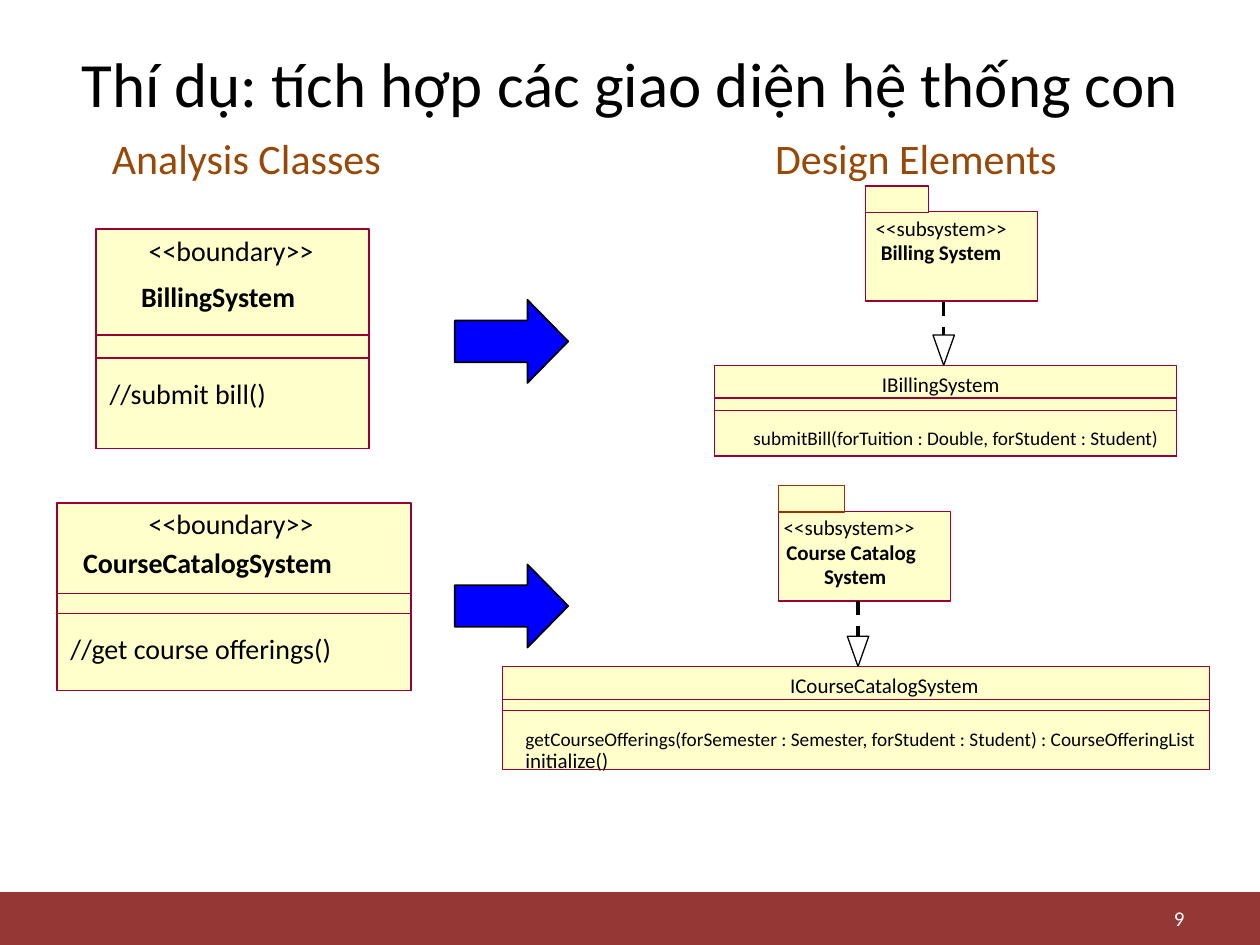
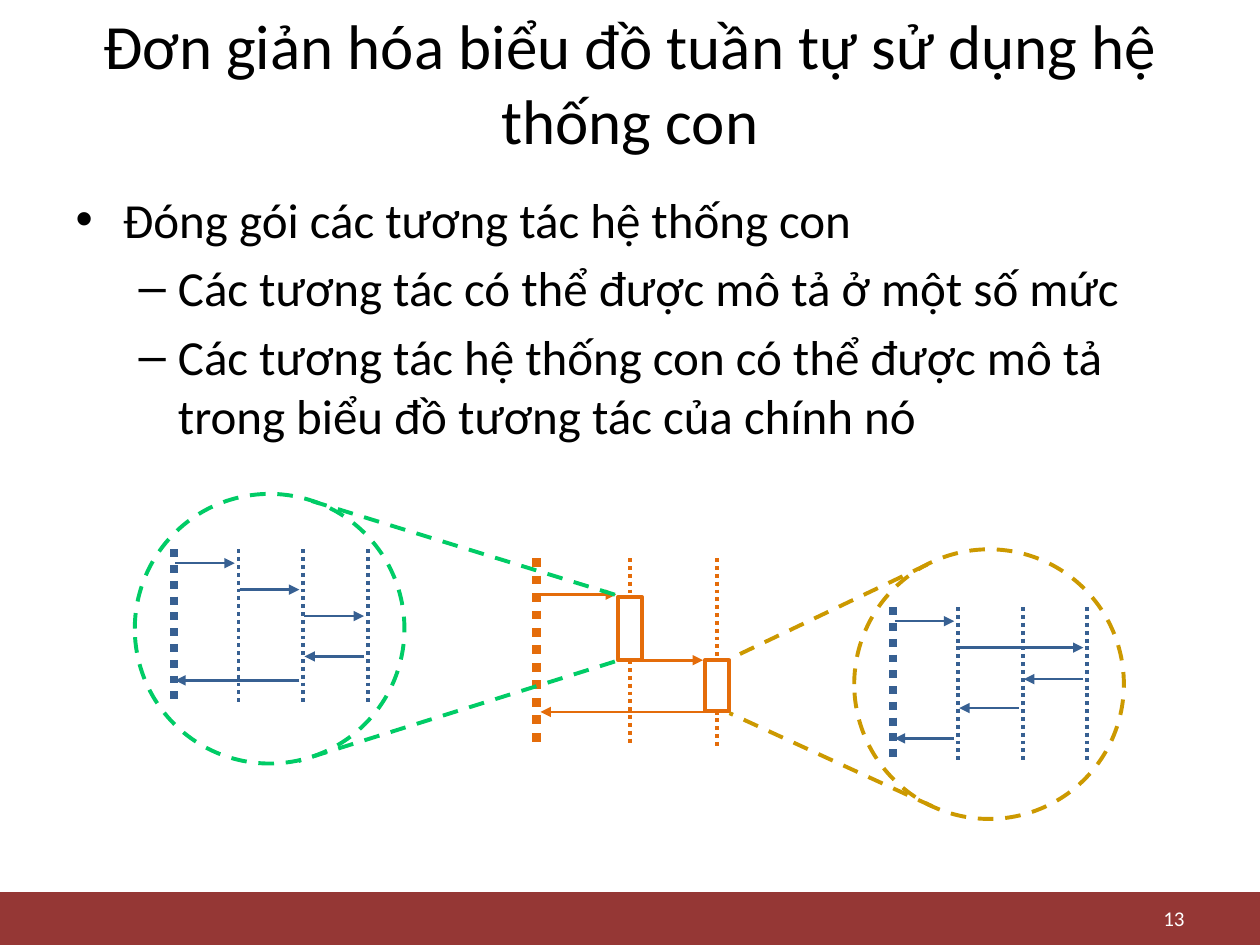
from pptx import Presentation
from pptx.dml.color import RGBColor
from pptx.enum.dml import MSO_LINE
from pptx.enum.shapes import MSO_CONNECTOR, MSO_SHAPE
from pptx.enum.text import MSO_ANCHOR, MSO_AUTO_SIZE, PP_ALIGN
from pptx.oxml.ns import qn
from pptx.util import Inches, Pt
from lxml import etree

RECT, OVAL, ARROW = MSO_SHAPE.RECTANGLE, MSO_SHAPE.OVAL, MSO_SHAPE.RIGHT_ARROW
STRAIGHT = MSO_CONNECTOR.STRAIGHT
DASH, DOT = MSO_LINE.DASH, MSO_LINE.ROUND_DOT
LEFT, CENTER, RIGHT = PP_ALIGN.LEFT, PP_ALIGN.CENTER, PP_ALIGN.RIGHT
MIDDLE = MSO_ANCHOR.MIDDLE
FIT, FIXED = MSO_AUTO_SIZE.SHAPE_TO_FIT_TEXT, MSO_AUTO_SIZE.NONE
TOP, BOTTOM = 0, 2

COLORS = {
    "black": "000000", "white": "FFFFFF", "band": "953735", "head": "984807",
    "cream": "FFFFCC", "wine": "990033", "rust": "993300", "blue": "0000FF",
    "orange": "E46C0A", "green": "00CC66", "gold": "CC9900", "navy": "376092",
}
FONT = "Calibri"
WIDTH, HEIGHT = Inches(10), Inches(7.5)
CELL = WIDTH / 100  # the grid has 100 columns and 75 rows


def grid(*cells):
    return [round(cell * CELL) for cell in cells]


def color(name):
    return RGBColor.from_string(COLORS[name])


def set_font(font, size, ink="black", bold=False):
    for key, value in {"name": FONT, "size": Pt(size), "bold": bold}.items():
        setattr(font, key, value)
    font.color.rgb = color(ink)


def set_line(line, ink, width, dash=None):
    line.color.rgb = color(ink)
    line.width = Pt(width)
    if dash:
        line.dash_style = dash


def shape(slide, kind, box, fill=None, ink=None, width=0, dash=None):
    item = slide.shapes.add_shape(kind, *grid(*box))
    item.shadow.inherit = False
    if fill:
        item.fill.solid()
        item.fill.fore_color.rgb = color(fill)
    else:
        item.fill.background()
    if ink:
        set_line(item.line, ink, width, dash)
    else:
        item.line.fill.background()
    return item


def link(slide, start, end, ink, width, dash=None, arrow=False):
    item = slide.shapes.add_connector(STRAIGHT, *grid(*start, *end))
    set_line(item.line, ink, width, dash)
    props = item._element.spPr
    if arrow:
        etree.SubElement(props.find(qn("a:ln")), qn("a:tailEnd"), type="triangle")
    etree.SubElement(props, qn("a:effectLst"))
    return item


def label(slide, box, text, size, ink="black", bold=False, align=LEFT,
          pad=0, wrap=False, **more):
    frame = slide.shapes.add_textbox(*grid(*box)).text_frame
    side, edge = grid(pad, pad / 2)
    form = {"margin_left": side, "margin_right": side, "margin_top": edge,
            "margin_bottom": edge, "word_wrap": wrap, "auto_size": FIT, **more}
    for key, value in form.items():
        setattr(frame, key, value)
    line = frame.paragraphs[0]
    line.text, line.alignment = text, align
    set_font(line.font, size, ink, bold)


def add_band(deck, slide):
    """Draw the bottom band and move it to the back of the master."""
    band = shape(slide, RECT, (0, 70.8, 100, 4.2), "band")._element
    band.nvSpPr.cNvPr.set("id", "99")
    deck.slide_master.shapes._spTree.insert(2, band)


def new_slide(deck, layout, title, number):
    slide = deck.slides.add_slide(deck.slide_layouts[layout])
    head = slide.shapes.title
    head.left, head.top, head.width, head.height = grid(5, 3, 90, 7)
    frame = head.text_frame
    frame.text = title
    frame.auto_size, frame.vertical_anchor = FIXED, MIDDLE
    frame.paragraphs[0].alignment = CENTER
    set_font(frame.paragraphs[0].font, 36)
    label(slide, (71.7, 71.5, 23.3, 2.7), number, 12, "white", align=RIGHT,
          pad=1, wrap=True, auto_size=FIXED, vertical_anchor=MIDDLE)
    return slide


def class_box(slide, box, cuts, width=0):
    """Draw a class with a compartment starting at each cut."""
    x, y, w, h = box
    shape(slide, RECT, box, "cream", "wine", width)
    for cut in cuts:
        shape(slide, RECT, (x, y + cut, w, h - cut), None, "wine", width)


def package(slide, x, y, tab, ink, width):
    shape(slide, RECT, (x, y, 13.65, 7.1), "cream", "wine")
    shape(slide, RECT, (x, y - 2.05, tab, 2.1), "cream", ink, width)


def realize(slide, x, top, tip):
    """Draw a dashed line with a hollow triangle pointing down."""
    base = tip - 2.4
    link(slide, (x, top), (x, base), "black", 0, DASH)
    path = slide.shapes.build_freeform(*grid(x, tip))
    path.add_line_segments([grid(x + 0.85, base), grid(x - 0.85, base)])
    head = path.convert_to_shape()
    head.shadow.inherit = False
    head.fill.background()
    set_line(head.line, "black", 0)


def sequence(slide, x, y, calls):
    """Draw four lifelines and the calls (source, target, row) between them."""
    lanes = [x + 5.13 * lane for lane in range(4)]
    for lane in lanes:
        link(slide, (lane, y), (lane, y + 12.2), "navy",
             4.5 if lane == x else 2.25, DOT)
    for source, target, row in calls:
        low, high = sorted((source, target))
        ends = [(lanes[low] + 0.1, y + row), (lanes[high] - 0.3, y + row)]
        if source > target:
            ends.reverse()
        link(slide, *ends, "navy", 1.5, arrow=True)


def active(slide, x, y, h):
    """Draw a lifeline that is broken by an activation bar."""
    bar = shape(slide, RECT, (x - 0.95, y, 1.9, h), None, "orange", 2.25)
    link(slide, (x, 44.3), (x, y), "orange", 2.25, DOT).end_connect(bar, TOP)
    link(slide, (x, y + h), (x, 59.2), "orange", 2.25, DOT).begin_connect(bar, BOTTOM)


def zoom(slide, x, y, ink, rays):
    shape(slide, OVAL, (x, y, 21.4, 21.4), None, ink, 2.25, DASH)
    for start, end in rays:
        link(slide, start, end, ink, 2.25, DASH)


def draw_classes(slide):
    for x, w, text in ((3.6, 31.9, "Analysis Classes"), (55, 35.4, "Design Elements")):
        label(slide, (x, 9.9, w, 5.2), text, 24, "head", align=CENTER, pad=1.2, wrap=True)
    for y in (23.8, 44.8):
        item = shape(slide, ARROW, (36.1, y, 9, 6.6), "blue", "black", 1)
        item.adjustments[0], item.adjustments[1] = 0.5, 0.49

    class_box(slide, (7.6, 18.2, 21.7, 17.4), (8.4, 10.2), 1)
    class_box(slide, (4.5, 39.9, 28.1, 14.9), (7.2, 8.8), 1)
    class_box(slide, (56.7, 29, 36.7, 7.2), (2.6, 3.6))
    class_box(slide, (39.9, 52.9, 56.1, 8.2), (2.6, 3.5))
    package(slide, 68.7, 16.8, 5, "wine", 0)
    package(slide, 61.8, 40.6, 5.2, "rust", 0.75)
    realize(slide, 74.9, 24, 29)
    realize(slide, 68.1, 47.7, 52.9)

    texts = [
        (11.8, 18.5, 14.5, "<<boundary>>", 16, False),
        (11.2, 22.2, 14.7, "BillingSystem", 16, True),
        (8.7, 29.9, 12.6, "//submit bill()", 16, False),
        (11.8, 40.2, 14.5, "<<boundary>>", 16, False),
        (6.6, 43.3, 23.7, "CourseCatalogSystem", 16, True),
        (5.6, 50.1, 22.3, "//get course offerings()", 16, False),
        (69.5, 17.1, 11.8, "<<subsystem>>", 12, False),
        (69.9, 19, 11.5, "Billing System", 12, True),
        (70, 29.5, 10.4, "IBillingSystem", 12, False),
        (59.8, 33.8, 32.4, "submitBill(forTuition : Double, forStudent : Student)", 11, False),
        (62.2, 40.8, 11.8, "<<subsystem>>", 12, False),
        (62.4, 42.8, 12.8, "Course Catalog", 12, True),
        (65.4, 44.7, 5.9, "System", 12, True),
        (62.7, 53.4, 17.1, "ICourseCatalogSystem", 12, False),
        (41.7, 57.7, 54, "getCourseOfferings(forSemester : Semester, "
         "forStudent : Student) : CourseOfferingList", 11, False),
        (41.7, 59.3, 6.7, "initialize()", 12, False),
    ]
    for x, y, w, text, size, bold in texts:
        label(slide, (x, y, w, size / 6), text, size, bold=bold)


def fill_body(slide, items):
    body = slide.placeholders[1]
    body.left, body.top, body.width, body.height = grid(5, 14.5, 90, 17.1)
    frame = body.text_frame
    frame.text = "\n".join(text for _, text in items)
    frame.auto_size = FIXED
    for line, (level, _) in zip(frame.paragraphs, items):
        line.level = level
        set_font(line.font, 28)


def draw_calls(slide):
    link(slide, (42.6, 44.3), (42.6, 59.2), "orange", 5, DOT)
    active(slide, 50, 47.4, 5)
    active(slide, 56.9, 52.4, 4)
    for start, end, y in ((42.5, 48.9, 47.2), (49.4, 55.8, 52.4), (58, 42.9, 56.5)):
        link(slide, (start, y), (end, y), "orange", 1.5, arrow=True)
    zoom(slide, 10.7, 39.2, "green",
         [((48.8, 52.5), (23.7, 60.4)), ((48.8, 47.2), (23.9, 39.5))])
    zoom(slide, 67.8, 43.6, "gold",
         [((73.6, 44.8), (57.9, 52.3)), ((74, 64), (57.9, 56.6))])
    sequence(slide, 13.8, 43.6,
             [(0, 1, 1.1), (1, 2, 3.2), (2, 3, 5.3), (3, 2, 8.5), (2, 0, 10.4)])
    sequence(slide, 70.9, 48.2,
             [(0, 1, 1.1), (1, 3, 3.2), (3, 2, 5.7), (2, 1, 8), (1, 0, 10.4)])


def main():
    deck = Presentation()
    deck.slide_width, deck.slide_height = WIDTH, HEIGHT
    slide = new_slide(deck, 5, "Thí dụ: tích hợp các giao diện hệ thống con", "9")
    add_band(deck, slide)
    draw_classes(slide)

    slide = new_slide(deck, 1, "Đơn giản hóa biểu đồ tuần tự sử dụng hệ thống con", "13")
    fill_body(slide, [
        (0, "Đóng gói các tương tác hệ thống con"),
        (1, "Các tương tác có thể được mô tả ở một số mức"),
        (1, "Các tương tác hệ thống con có thể được mô tả "
            "trong biểu đồ tương tác của chính nó"),
    ])
    draw_calls(slide)
    deck.save("out.pptx")


if __name__ == "__main__":
    main()
